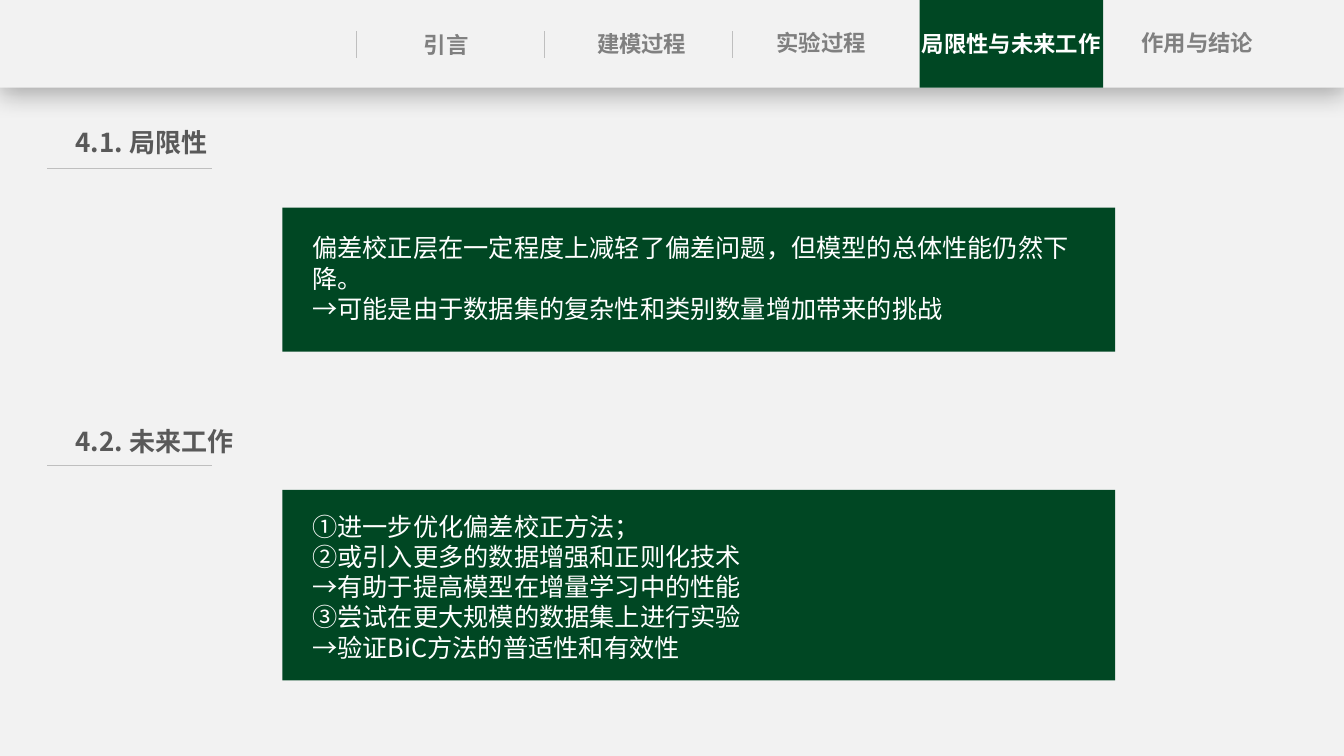
import pptx
import pptx.util
import pptx.dml.color
import pptx.enum.shapes
import pptx.enum.text
import pptx.oxml
import pptx.oxml.ns
import lxml.etree

Inches = pptx.util.Inches
COLORS = {
    "page": "F2F2F2",
    "green": "004723",
    "white": "FFFFFF",
    "tab": "808080",
    "heading": "595959",
    "rule": "BFBFBF",
}
FONT = "Noto Sans CJK SC"
ALIGN = pptx.enum.text.PP_ALIGN
RECTANGLE = pptx.enum.shapes.MSO_SHAPE.RECTANGLE
STRAIGHT = pptx.enum.shapes.MSO_CONNECTOR.STRAIGHT


def rgb(name):
    return pptx.dml.color.RGBColor.from_string(COLORS[name])


def write_text(shape, text, size, color, bold=False, align=ALIGN.LEFT, side_inset=0):
    frame = shape.text_frame
    frame.word_wrap = True
    frame.auto_size = pptx.enum.text.MSO_AUTO_SIZE.NONE
    frame.vertical_anchor = pptx.enum.text.MSO_ANCHOR.TOP
    frame.margin_left = frame.margin_right = Inches(side_inset)
    frame.margin_top = frame.margin_bottom = Inches(0.05)
    frame.text = text
    for paragraph in frame.paragraphs:
        paragraph.alignment = align
        paragraph.line_spacing = 1.0
        paragraph.space_before = pptx.util.Pt(0)
        for run in paragraph.runs:
            run.font.size = pptx.util.Pt(size)
            run.font.name = FONT
            run.font.bold = bold
            run.font.color.rgb = rgb(color)
            # East Asian characters take their own typeface element
            latin = run.font._element.find(pptx.oxml.ns.qn("a:latin"))
            east_asian = lxml.etree.Element(pptx.oxml.ns.qn("a:ea"), typeface=FONT)
            latin.addnext(east_asian)


presentation = pptx.Presentation()
presentation.slide_width = Inches(13.33)
presentation.slide_height = Inches(7.5)
slide = presentation.slides.add_slide(presentation.slide_layouts[5])
shapes = slide.shapes
slide.background.fill.solid()
slide.background.fill.fore_color.rgb = rgb("page")

# Navigation bar, active tab and content panels
rectangles = [
    (0, 0, 13.33, 0.87, "page"),
    (9.12, 0, 1.82, 0.87, "green"),
    (2.8, 2.06, 8.26, 1.43, "green"),
    (2.8, 4.86, 8.26, 1.89, "green"),
]
panels = []
for left, top, width, height, color in rectangles:
    panel = shapes.add_shape(RECTANGLE, Inches(left), Inches(top), Inches(width), Inches(height))
    panel.shadow.inherit = False
    panel.fill.solid()
    panel.fill.fore_color.rgb = rgb(color)
    panel.line.fill.background()
    panels.append(panel)

# Soft shadow below the navigation bar
effects = panels[0]._element.spPr.find(pptx.oxml.ns.qn("a:effectLst"))
effects.append(pptx.oxml.parse_xml(
    '<a:outerShdw xmlns:a="http://schemas.openxmlformats.org/drawingml/2006/main" '
    'blurRad="228600" dist="50800" dir="5400000" algn="t" rotWithShape="0">'
    '<a:srgbClr val="000000"><a:alpha val="29000"/></a:srgbClr></a:outerShdw>'
))

# Active tab label is the slide title, raised above its green tab
title = shapes.title
title.left, title.top = Inches(9.12), Inches(0.25)
title.width, title.height = Inches(1.82), Inches(0.38)
write_text(title, "局限性与未来工作", size=16, color="white", bold=True, align=ALIGN.CENTER)
panels[-1]._element.addnext(title._element)

# Other tabs
tabs = [
    ("引言", 3.69, 0.26),
    ("建模过程", 5.63, 0.25),
    ("实验过程", 7.41, 0.24),
    ("作用与结论", 11.14, 0.24),
]
for label, left, top in tabs:
    tab = shapes.add_textbox(Inches(left), Inches(top), Inches(1.47), Inches(0.38))
    write_text(tab, label, size=16, color="tab", bold=True, align=ALIGN.CENTER)

# Tab dividers and heading underlines
rules = [(left, 0.31, left, 0.58) for left in (3.53, 5.4, 7.26)]
rules += [(0.47, top, 2.1, top) for top in (1.67, 4.62)]
for rule in rules:
    connector = shapes.add_connector(STRAIGHT, *[Inches(value) for value in rule])
    connector.line.color.rgb = rgb("rule")
    connector.line.width = pptx.util.Pt(0.5)
    lxml.etree.SubElement(connector._element.spPr, pptx.oxml.ns.qn("a:effectLst"))

# Section headings and panel text
sections = [
    ("4.1. 局限性", 1.21, 2.26, 1.01, [
        "偏差校正层在一定程度上减轻了偏差问题，但模型的总体性能仍然下降。",
        "→可能是由于数据集的复杂性和类别数量增加带来的挑战",
    ]),
    ("4.2. 未来工作", 4.17, 5.02, 1.62, [
        "①进一步优化偏差校正方法；",
        "②或引入更多的数据增强和正则化技术",
        "→有助于提高模型在增量学习中的性能",
        "③尝试在更大规模的数据集上进行实验",
        "→验证BiC方法的普适性和有效性",
    ]),
]
for heading, heading_top, body_top, body_height, lines in sections:
    heading_box = shapes.add_textbox(Inches(0.75), Inches(heading_top), Inches(2.34), Inches(0.42))
    write_text(heading_box, heading, size=18.6, color="heading", bold=True)
    body_box = shapes.add_textbox(Inches(3), Inches(body_top), Inches(7.94), Inches(body_height))
    write_text(body_box, "\n".join(lines), size=18, color="white", side_inset=0.1)

presentation.save("out.pptx")
